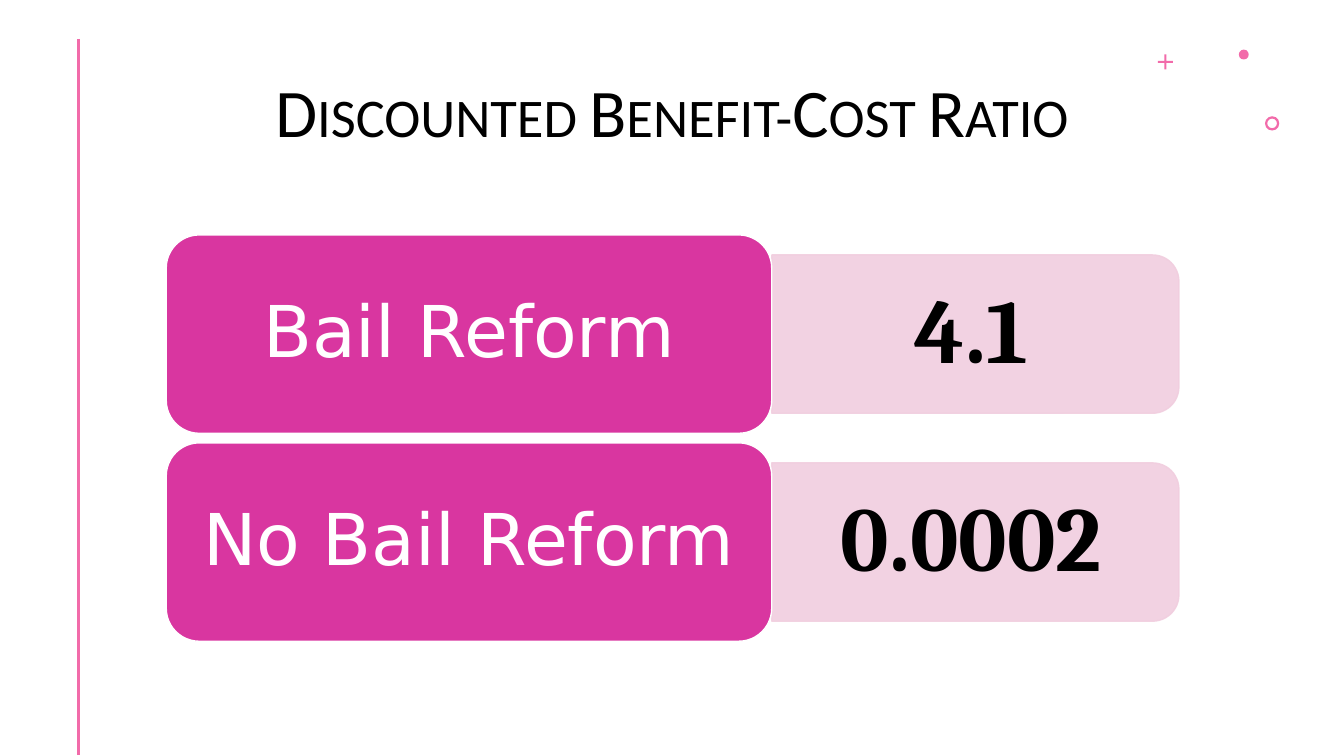
"""Builds the discounted benefit-cost ratio slide."""
from dataclasses import dataclass

from lxml import etree
from pptx import Presentation
from pptx.dml.color import RGBColor
from pptx.enum import shapes, text
from pptx.oxml.ns import qn
from pptx.util import Cm, Pt

HEADING = "Discounted Benefit-Cost Ratio"
RATIOS = [("Bail Reform", "4.1"), ("No Bail Reform", "0.0002")]
KIND = shapes.MSO_SHAPE
ORNAMENTS = [
    (KIND.CROSS, 29.18, 1.37, 0.38, 0.43),
    (KIND.DONUT, 31.88, 2.93, 0.36, 0.16),
    (KIND.OVAL, 31.22, 1.25, 0.25, None),
]


@dataclass(frozen=True)
class Theme:
    accent: str = "F26BAA"
    label_fill: str = "D936A0"
    value_fill: str = "F1CEDF"
    dark: str = "000000"
    light: str = "FFFFFF"
    heading_font: str = "Calibri"
    label_font: str = "DejaVu Sans"
    value_font: str = "Cambria"
    heading_size: float = 48.6
    label_size: float = 51
    value_size: float = 65
    edge: float = 1
    rule: float = 2
    opacity: int = 90


THEME = Theme()
LABEL_LEFT, LABEL_WIDTH, LABEL_HEIGHT = 4.19, 15.26, 5
VALUE_WIDTH, VALUE_HEIGHT, VALUE_TEXT_WIDTH = 10.26, 3.99, 10.06
FIRST_TOP, ROW_PITCH = 5.92, 5.24


def paint(shape, fill, line=None):
    shape.shadow.inherit = False
    shape.fill.solid()
    shape.fill.fore_color.rgb = RGBColor.from_string(fill)
    if line:
        shape.line.color.rgb = RGBColor.from_string(line)
        shape.line.width = Pt(THEME.edge)
    else:
        shape.line.fill.background()


def write(shape, words, font, size, colour, inset, bold=False):
    frame = shape.text_frame
    frame.word_wrap = True
    frame.auto_size = text.MSO_AUTO_SIZE.NONE
    frame.vertical_anchor = text.MSO_ANCHOR.MIDDLE
    frame.margin_left = frame.margin_right = Cm(inset)
    frame.margin_top = frame.margin_bottom = Cm(inset / 2)
    paragraph = frame.paragraphs[0]
    paragraph.alignment = text.PP_ALIGN.CENTER
    paragraph.line_spacing = 0.9
    run = paragraph.add_run()
    run.text = words
    run.font.name = font
    run.font.size = Pt(size)
    run.font.bold = bold
    run.font.color.rgb = RGBColor.from_string(colour)
    return run


def add_ratio(slide, row, label, value):
    top = FIRST_TOP + row * ROW_PITCH
    middle = top + LABEL_HEIGHT / 2
    value_left = LABEL_LEFT + LABEL_WIDTH
    value_centre = value_left + VALUE_WIDTH / 2

    panel = slide.shapes.add_shape(
        KIND.ROUND_2_SAME_RECTANGLE,
        Cm(value_centre - VALUE_HEIGHT / 2), Cm(middle - VALUE_WIDTH / 2),
        Cm(VALUE_HEIGHT), Cm(VALUE_WIDTH))
    panel.rotation = 90
    paint(panel, THEME.value_fill, THEME.value_fill)
    for colour in panel._element.spPr.iter(qn("a:srgbClr")):
        etree.SubElement(colour, qn("a:alpha"), val=str(THEME.opacity * 1000))

    figure = slide.shapes.add_textbox(
        Cm(value_left), Cm(middle - VALUE_HEIGHT / 2),
        Cm(VALUE_TEXT_WIDTH), Cm(VALUE_HEIGHT))
    write(figure, value, THEME.value_font, THEME.value_size, THEME.dark, 0.69, True)

    option = slide.shapes.add_shape(
        KIND.ROUNDED_RECTANGLE, Cm(LABEL_LEFT), Cm(top),
        Cm(LABEL_WIDTH), Cm(LABEL_HEIGHT))
    paint(option, THEME.label_fill, THEME.light)
    write(option, label, THEME.label_font, THEME.label_size, THEME.light, 0.53)


def add_decoration(slide):
    rule = slide.shapes.add_connector(
        shapes.MSO_CONNECTOR.STRAIGHT, Cm(1.98), Cm(0.98), Cm(1.98), Cm(19.03))
    rule.line.color.rgb = RGBColor.from_string(THEME.accent)
    rule.line.width = Pt(THEME.rule)
    etree.SubElement(rule._element.spPr, qn("a:effectLst"))
    for kind, left, top, size, adjustment in ORNAMENTS:
        ornament = slide.shapes.add_shape(kind, Cm(left), Cm(top), Cm(size), Cm(size))
        if adjustment:
            ornament.adjustments[0] = adjustment
        paint(ornament, THEME.accent)


def main():
    deck = Presentation()
    deck.slide_width, deck.slide_height = Cm(33.87), Cm(19.05)
    slide = deck.slides.add_slide(deck.slide_layouts[5])
    add_decoration(slide)

    heading = slide.shapes.title
    heading.left, heading.top = Cm(2.33), Cm(1.07)
    heading.width, heading.height = Cm(29.21), Cm(3.68)
    run = write(heading, HEADING, THEME.heading_font, THEME.heading_size, THEME.dark, 0.25)
    run.font._element.set("cap", "small")

    for row, (label, value) in enumerate(RATIOS):
        add_ratio(slide, row, label, value)
    deck.save("out.pptx")


if __name__ == "__main__":
    main()
